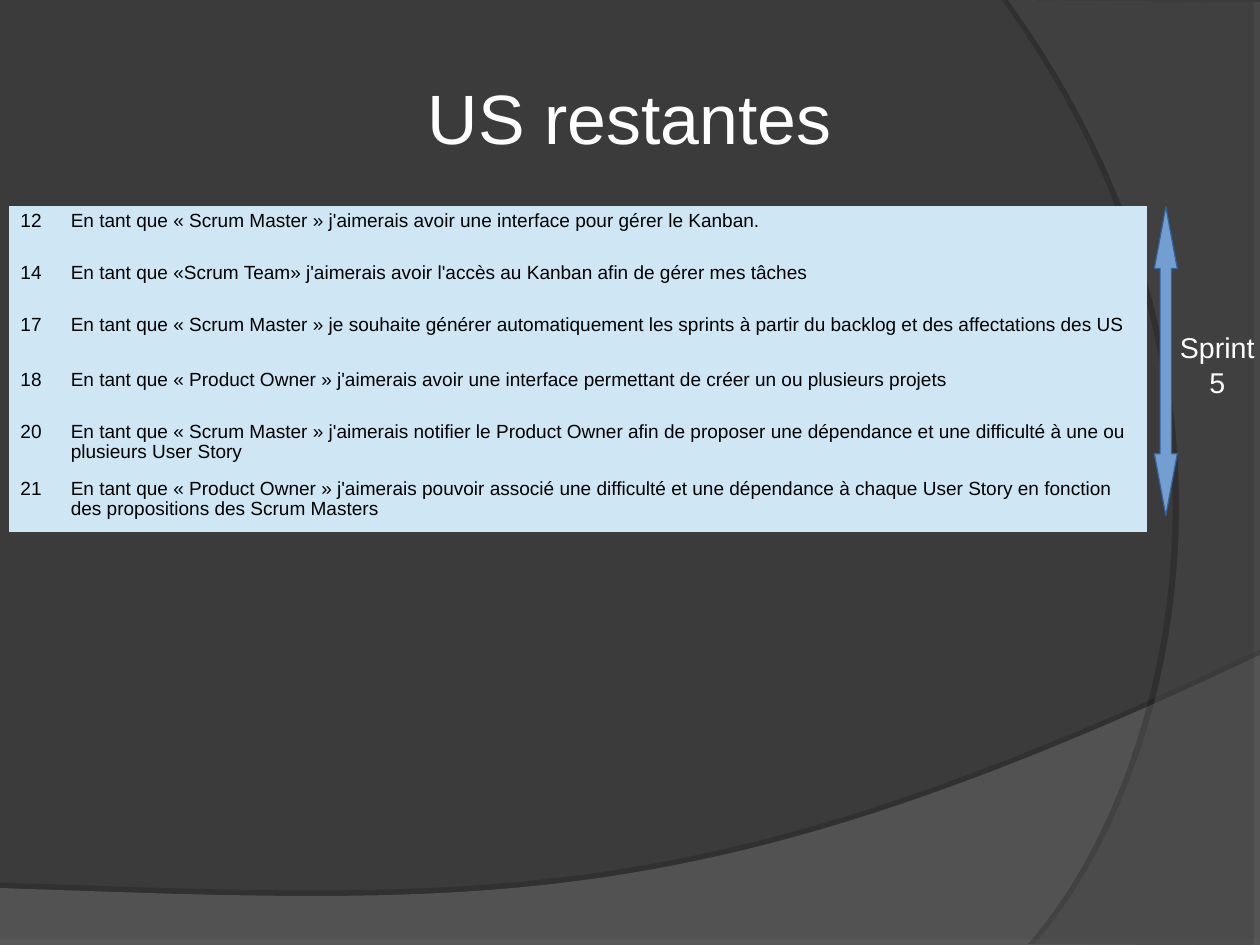
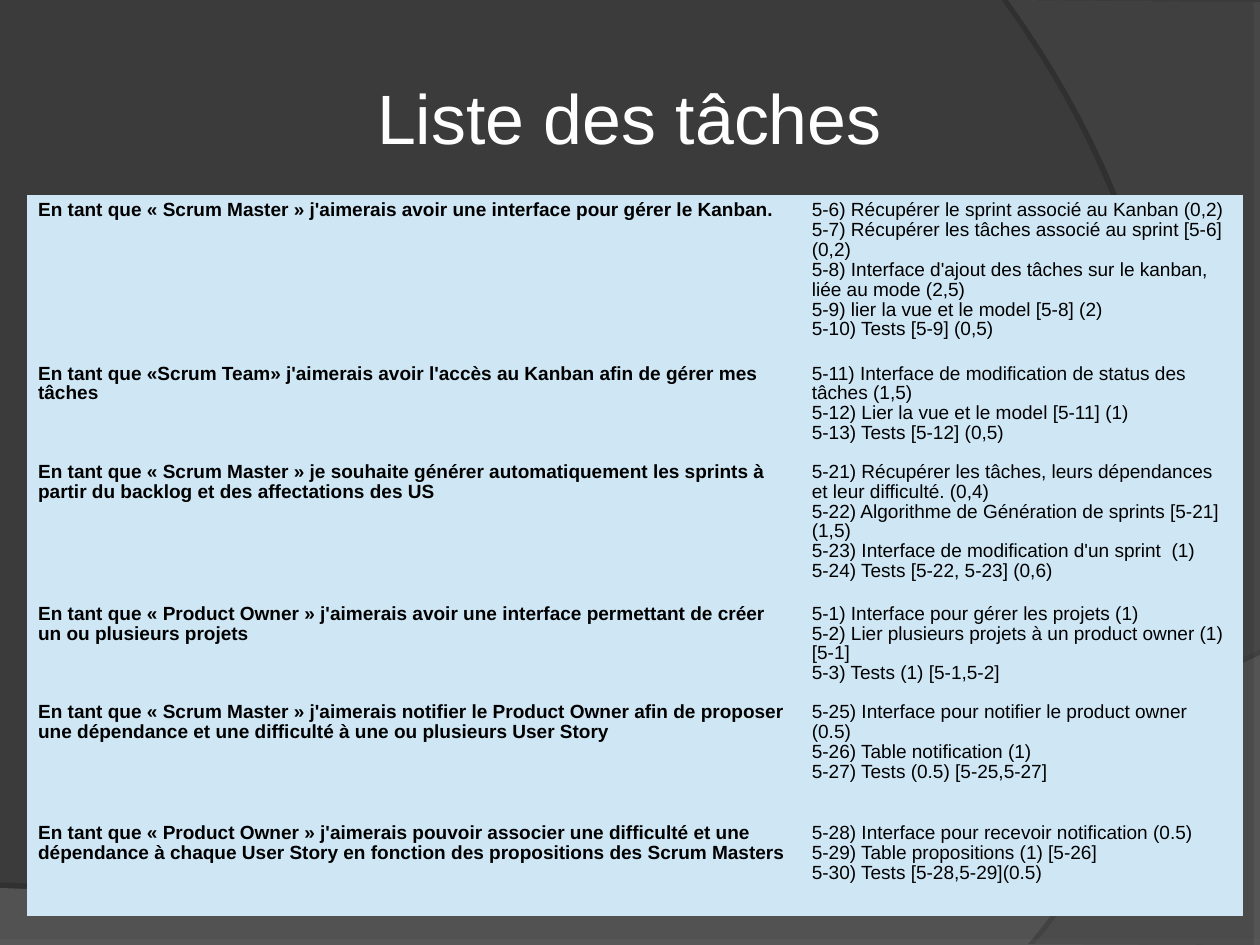
import pptx
import pptx.util
import pptx.dml.color
import pptx.enum.shapes
import pptx.enum.text
import pptx.oxml.ns
import lxml.etree

Pt = pptx.util.Pt
qn = pptx.oxml.ns.qn

WIDTH, HEIGHT = 793.7, 595.3
FONT = "Arial"
COLORS = {
    "background": "3B3B3B",
    "bottom_wave": "7C7C7C",
    "right_wave": "595959",
    "shadow": "000000",
    "light_text": "FFFFFF",
    "table_text": "000000",
    "cell": "CFE7F5",
    "arrow": "729FCF",
    "arrow_line": "3465A4",
}
NO_TABLE_STYLE = "{2D5ABB26-0587-4C30-8999-92F81FD0307C}"

STORIES = [
    "En tant que « Scrum Master » j'aimerais avoir une interface pour gérer le Kanban.",
    "En tant que «Scrum Team» j'aimerais avoir l'accès au Kanban afin de gérer mes tâches",
    "En tant que « Scrum Master » je souhaite générer automatiquement les sprints "
    "à partir du backlog et des affectations des US",
    "En tant que « Product Owner » j'aimerais avoir une interface permettant de créer "
    "un ou plusieurs projets",
    "En tant que « Scrum Master » j'aimerais notifier le Product Owner afin de proposer "
    "une dépendance et une difficulté à une ou plusieurs User Story",
    "En tant que « Product Owner » j'aimerais pouvoir associé une difficulté et une "
    "dépendance à chaque User Story en fonction des propositions des Scrum Masters",
]
STORY_NUMBERS = ["12", "14", "17", "18", "20", "21"]
TASK_STORIES = [story.replace("associé", "associer") for story in STORIES]
TASKS = [
    ["5-6) Récupérer le sprint associé au Kanban (0,2)",
     "5-7) Récupérer les tâches associé au sprint [5-6] (0,2)",
     "5-8) Interface d'ajout des tâches sur le kanban, liée au mode (2,5)",
     "5-9) lier la vue et le model [5-8] (2)",
     "5-10) Tests [5-9] (0,5)"],
    ["5-11) Interface de modification de status des tâches (1,5)",
     "5-12) Lier la vue et le model [5-11] (1)",
     "5-13) Tests [5-12] (0,5)"],
    ["5-21) Récupérer les tâches, leurs dépendances",
     "et leur difficulté. (0,4)",
     "5-22) Algorithme de Génération de sprints [5-21] (1,5)",
     "5-23) Interface de modification d'un sprint  (1)",
     "5-24) Tests [5-22, 5-23] (0,6)"],
    ["5-1) Interface pour gérer les projets (1)",
     "5-2) Lier plusieurs projets à un product owner (1) [5-1]",
     "5-3) Tests (1) [5-1,5-2]"],
    ["5-25) Interface pour notifier le product owner (0.5)",
     "5-26) Table notification (1)",
     "5-27) Tests (0.5) [5-25,5-27]"],
    ["5-28) Interface pour recevoir notification (0.5)",
     "5-29) Table propositions (1) [5-26]",
     "5-30) Tests [5-28,5-29](0.5)"],
]


def rgb(name):
    return pptx.dml.color.RGBColor.from_string(COLORS[name])


def fill_solid(target, name):
    target.fill.solid()
    target.fill.fore_color.rgb = rgb(name)


def format_text(tf, size, color, align=None, bold=False, spacing=None):
    for p in tf.paragraphs:
        p.alignment = align
        p.line_spacing = spacing
        for r in p.runs:
            r.font.name = FONT
            r.font.size = Pt(size)
            r.font.bold = bold
            r.font.color.rgb = rgb(color)


def add_xml(parent, tag, **attributes):
    child = lxml.etree.SubElement(parent, qn(tag))
    for name, value in attributes.items():
        child.set(name, str(value))
    return child


def bezier(p0, p1, p2, p3, steps=48):
    """Return points along a cubic curve, both ends included."""
    points = []
    for i in range(steps + 1):
        t = i / steps
        weights = ((1 - t) ** 3, 3 * t * (1 - t) ** 2, 3 * t * t * (1 - t), t ** 3)
        points.append(tuple(sum(w * p[axis] for w, p in zip(weights, (p0, p1, p2, p3)))
                            for axis in (0, 1)))
    return points


def add_wave(s, points, color, opacity, shadow_opacity, distance, angle):
    """Draw a translucent outline with a hard shadow on one side."""
    vertices = [(Pt(x), Pt(y)) for x, y in points]
    builder = s.shapes.build_freeform(*vertices[0])
    builder.add_line_segments(vertices[1:], close=True)
    wave = builder.convert_to_shape()
    fill_solid(wave, color)
    add_xml(wave.element.spPr.find(".//" + qn("a:srgbClr")), "a:alpha", val=opacity * 1000)
    wave.line.fill.background()
    wave.shadow.inherit = False
    shadow = add_xml(wave.element.spPr.find(qn("a:effectLst")), "a:outerShdw",
                     blurRad=0, dist=int(Pt(distance)), dir=angle * 60000,
                     algn="ctr", rotWithShape=0)
    shadow_color = add_xml(shadow, "a:srgbClr", val=COLORS["shadow"])
    add_xml(shadow_color, "a:alpha", val=shadow_opacity * 1000)
    return wave


def decorate_layout(layout, s):
    """Build the two waves on a slide, then move them behind the layout's placeholders."""
    bottom = [(0, HEIGHT), (WIDTH, HEIGHT)] + bezier(
        (WIDTH, 412.6), (443.5, 578.9), (310.3, 570.2), (0, 559.4))
    right = [(WIDTH, 1.4), (WIDTH, HEIGHT)] + bezier(
        (651.6, 594.7), (741.6, 491.8), (807.8, 238.3), (635, 0))
    waves = [add_wave(s, bottom, "bottom_wave", 45, 35, 3.5, 270),
             add_wave(s, right, "right_wave", 40, 45, 4, 180)]
    for position, wave in enumerate(waves, start=2):
        layout.shapes.element.insert(position, wave.element)


def add_titled_slide(prs, layout, title):
    s = prs.slides.add_slide(layout)
    sp = s.shapes.title
    sp.left, sp.top, sp.width, sp.height = Pt(39.6), Pt(23.8), Pt(714.2), Pt(99.4)
    tf = sp.text_frame
    tf.text = title
    tf.margin_left = tf.margin_top = tf.margin_right = tf.margin_bottom = 0
    tf.vertical_anchor = pptx.enum.text.MSO_ANCHOR.MIDDLE
    format_text(tf, 44, "light_text", pptx.enum.text.PP_ALIGN.CENTER)
    return s


def add_story_table(s, left, top, col_widths, row_heights, rows, bold_first=False):
    frame = s.shapes.add_table(len(rows), len(col_widths), Pt(left), Pt(top),
                               Pt(sum(col_widths)), Pt(sum(row_heights)))
    table = frame.table
    table.first_row = table.horz_banding = False
    frame.element.find(".//" + qn("a:tableStyleId")).text = NO_TABLE_STYLE
    for column, width in zip(table.columns, col_widths):
        column.width = Pt(width)
    for row, height, texts in zip(table.rows, row_heights, rows):
        row.height = Pt(height)
        for i, (cell, text) in enumerate(zip(row.cells, texts)):
            fill_solid(cell, "cell")
            cell.text_frame.text = text
            format_text(cell.text_frame, 12, "table_text",
                        bold=bold_first and i == 0, spacing=0.93)


def add_sprint_marker(s, left, top, height, label):
    """Draw a vertical double arrow with its label on the right."""
    width, head = 14.4, 38.8
    arrow = s.shapes.add_shape(pptx.enum.shapes.MSO_SHAPE.UP_DOWN_ARROW,
                               Pt(left), Pt(top), Pt(width), Pt(height))
    guides = arrow.element.spPr.find(".//" + qn("a:avLst"))
    guides.clear()
    for name, ratio in (("adj1", 0.5), ("adj2", head / width)):
        add_xml(guides, "a:gd", name=name, fmla=f"val {round(ratio * 100000)}")
    arrow.shadow.inherit = False
    fill_solid(arrow, "arrow")
    arrow.line.color.rgb = rgb("arrow_line")
    arrow.line.width = Pt(0.75)
    box = s.shapes.add_textbox(Pt(left + width), Pt(top + 74.2), Pt(50.4), Pt(50))
    tf = box.text_frame
    tf.word_wrap = True
    tf.margin_left = tf.margin_right = 0
    tf.text = label
    format_text(tf, 18, "light_text", pptx.enum.text.PP_ALIGN.CENTER)


def main():
    prs = pptx.Presentation()
    prs.slide_width, prs.slide_height = Pt(WIDTH), Pt(HEIGHT)
    fill_solid(prs.slide_master.background, "background")
    layout = prs.slide_layouts[5]

    s = add_titled_slide(prs, layout, "US restantes")
    decorate_layout(layout, s)
    add_story_table(s, 5.7, 129.7, [31.7, 685], [33, 32.6, 34.6, 32.6, 36, 36.4],
                    list(zip(STORY_NUMBERS, STORIES)))
    add_sprint_marker(s, 727.2, 130.3, 194.4, "Sprint 5")

    s = add_titled_slide(prs, layout, "Liste des tâches")
    add_story_table(s, 16.8, 123, [487.4, 278.6], [102.8, 62, 89.4, 62, 76, 62],
                    [(story, "\n".join(tasks)) for story, tasks in zip(TASK_STORIES, TASKS)],
                    bold_first=True)

    prs.save("out.pptx")


if __name__ == "__main__":
    main()
